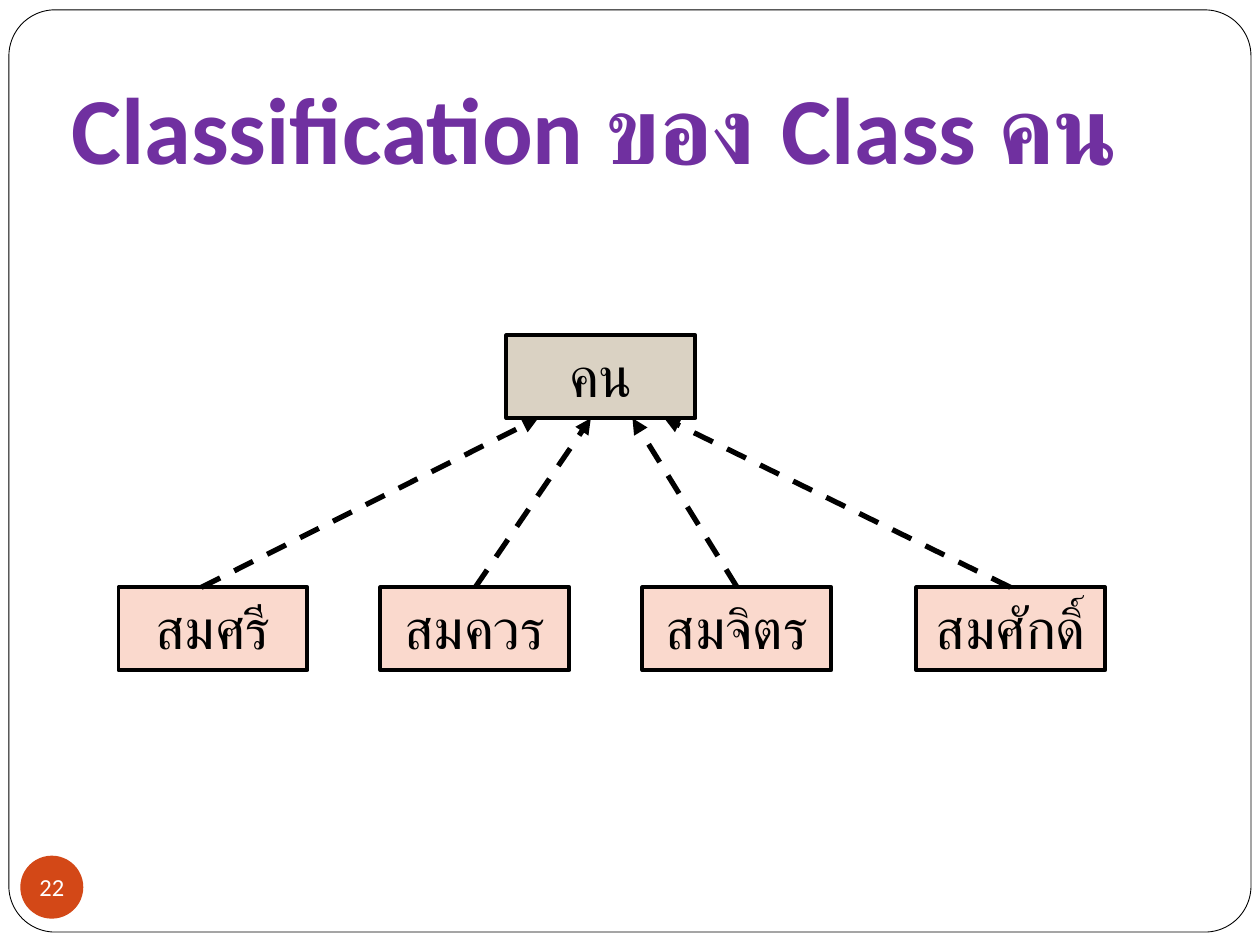
from dataclasses import dataclass

from lxml.etree import SubElement
from pptx import Presentation
from pptx.dml.color import RGBColor
from pptx.enum.dml import MSO_LINE
from pptx.enum.shapes import MSO_CONNECTOR, MSO_SHAPE
from pptx.enum.text import MSO_ANCHOR, MSO_AUTO_SIZE, PP_ALIGN
from pptx.oxml.ns import qn
from pptx.util import Cm, Pt

FONT = "Calibri"
BOX_W, BOX_H = 3.81, 1.67
PARENT_TOP, CHILD_TOP = 6.76, 11.84


@dataclass
class Person:
    """A member of the class, with its box and arrow positions in cm."""
    name: str
    left: float
    start: float
    end: float


PEOPLE = [
    Person("สมศรี", 2.39, 4.06, 10.85),
    Person("สมควร", 7.67, 9.58, 11.91),
    Person("สมจิตร", 12.95, 14.86, 12.75),
    Person("สมศักดิ์", 18.47, 20.37, 13.39),
]


def rgb(color: str) -> RGBColor:
    """Turn a hex string into a colour."""
    return RGBColor.from_string(color)


def style(p, size: float, color: str, align=PP_ALIGN.CENTER, bold: bool = False) -> None:
    """Format a paragraph."""
    p.alignment = align
    p.font.name, p.font.size, p.font.bold = FONT, Pt(size), bold
    p.font.color.rgb = rgb(color)


def add_shape(s, kind, left: float, top: float, w: float, h: float, fill: str, line: float = 0):
    """Add a filled shape, with a black outline if a width is given."""
    sp = s.shapes.add_shape(kind, Cm(left), Cm(top), Cm(w), Cm(h))
    sp.shadow.inherit = False
    sp.fill.solid()
    sp.fill.fore_color.rgb = rgb(fill)
    if line:
        sp.line.color.rgb = rgb("000000")
        sp.line.width = Pt(line)
    else:
        sp.line.fill.background()
    return sp


def add_box(s, name: str, left: float, top: float, fill: str) -> None:
    """Add a labelled box."""
    sp = add_shape(s, MSO_SHAPE.RECTANGLE, left, top, BOX_W, BOX_H, fill, 2.25)
    tf = sp.text_frame
    tf.text = name
    tf.vertical_anchor = MSO_ANCHOR.TOP
    style(tf.paragraphs[0], 32, "000000")


def add_arrow(s, person: Person) -> None:
    """Add a dashed arrow from a person to the class."""
    c = s.shapes.add_connector(MSO_CONNECTOR.STRAIGHT, Cm(person.start), Cm(CHILD_TOP),
                               Cm(person.end), Cm(PARENT_TOP + BOX_H))
    c.line.color.rgb = rgb("000000")
    c.line.width = Pt(3)
    c.line.dash_style = MSO_LINE.DASH
    SubElement(c.line._get_or_add_ln(), qn("a:tailEnd"), type="triangle")
    SubElement(c.element.spPr, qn("a:effectLst"))


def add_title(s) -> None:
    """Place and format the title."""
    sp = s.shapes.title
    sp.left, sp.top, sp.width, sp.height = Cm(1.19), Cm(0.76), Cm(22.94), Cm(3.18)
    tf = sp.text_frame
    tf.text = "Classification ของ Class คน "
    tf.auto_size = MSO_AUTO_SIZE.NONE
    tf.vertical_anchor = MSO_ANCHOR.BOTTOM
    tf.margin_bottom = Cm(0.25)
    style(tf.paragraphs[0], 54, "7030A0", PP_ALIGN.LEFT, True)


def add_number(s) -> None:
    """Add the round slide number badge."""
    sp = add_shape(s, MSO_SHAPE.OVAL, 0.41, 17.25, 1.27, 1.27, "D34817")
    tf = sp.text_frame
    tf.text = "22"
    tf.word_wrap = False
    tf.vertical_anchor = MSO_ANCHOR.MIDDLE
    tf.margin_left = tf.margin_right = tf.margin_top = tf.margin_bottom = 0
    style(tf.paragraphs[0], 14, "FFFFFF")


def main() -> None:
    """Build the slide."""
    prs = Presentation()
    prs.slide_width, prs.slide_height = Cm(25.4), Cm(19.05)
    s = prs.slides.add_slide(prs.slide_layouts[5])
    frame = add_shape(s, MSO_SHAPE.ROUNDED_RECTANGLE, 0.18, 0.2, 25.04, 18.59, "FFFFFF", 0.5)
    frame.adjustments[0] = 0.05
    s.shapes.title.element.addprevious(frame.element)
    add_title(s)
    add_box(s, "คน", 10.21, PARENT_TOP, "DAD2C3")
    for person in PEOPLE:
        add_box(s, person.name, person.left, CHILD_TOP, "FAD9CD")
    for person in PEOPLE:
        add_arrow(s, person)
    add_number(s)
    prs.save("out.pptx")


main()
